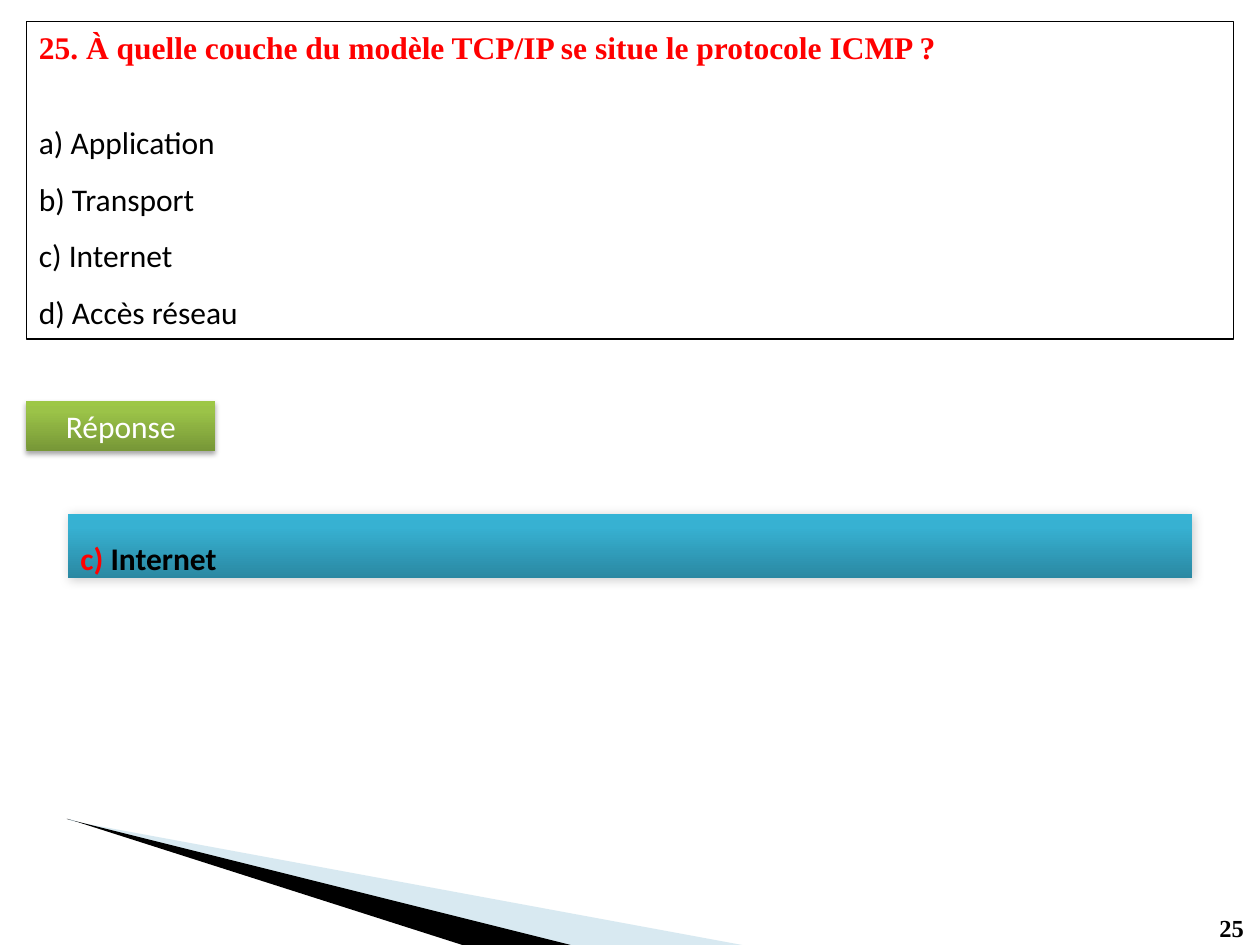
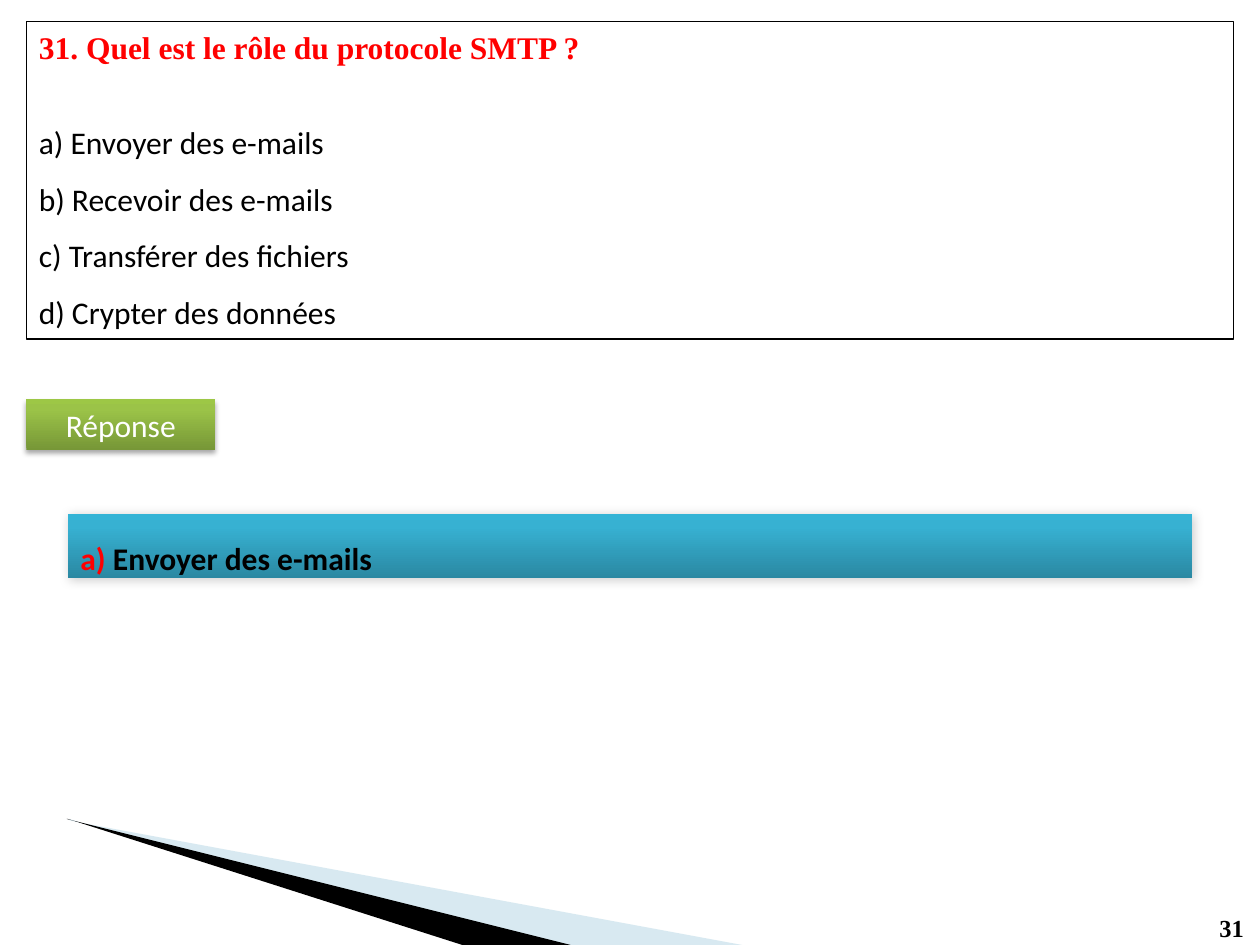
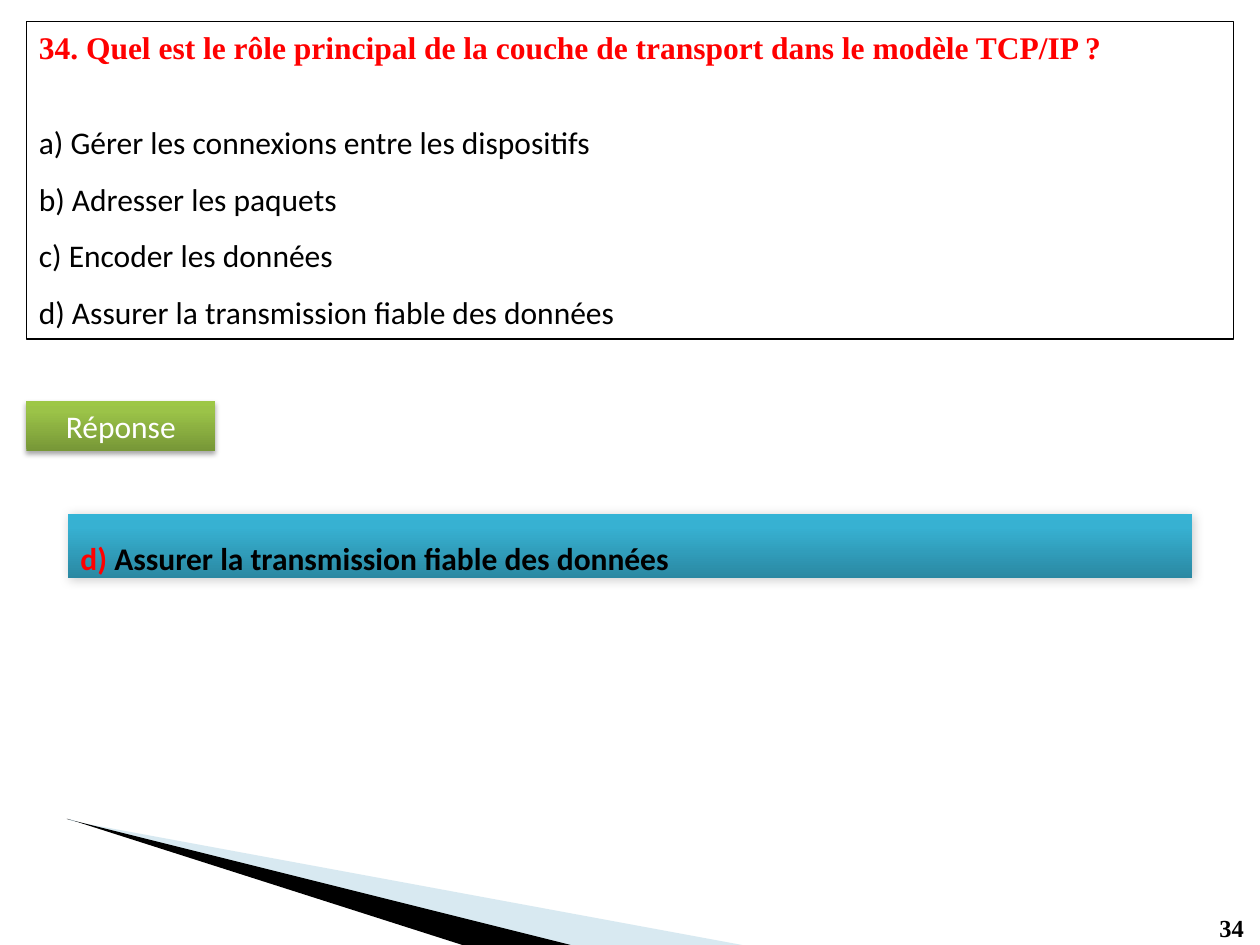
from dataclasses import dataclass

from lxml.etree import SubElement
from pptx import Presentation
from pptx.dml.color import RGBColor
from pptx.enum.shapes import MSO_SHAPE
from pptx.enum.text import MSO_ANCHOR, PP_ALIGN
from pptx.oxml import parse_xml
from pptx.oxml.ns import nsdecls, qn
from pptx.util import Inches, Pt

COLORS = {
    "black": "000000",
    "white": "FFFFFF",
    "red": "FF0000",
    "pale blue": "9FCADC",
}
GREEN_STOPS = [(0, "779737"), (80, "9BC348"), (100, "9DC746")]
BLUE_STOPS = [(0, "2A88A2"), (80, "37B1D2"), (100, "34B4D6")]
BODY_FONT = "Calibri"
TITLE_FONT = "Times New Roman"

SWOOSH_ORIGIN = (0.53, 6.5)
PAGE_NUMBER_BOX = (9.58, 7.2, 0.4, 0.34)
QUESTION_BOX = (0.21, 0.17, 9.58, 2.52)
LABEL_BOX = (0.21, 3.18, 1.5, 0.4)
ANSWER_BOX = (0.54, 4.08, 8.92, 0.51)

# Contours in inches from the swoosh origin
PALE_CONTOURS = [
    [(0.11, 0.03), (3.98, 1), (5.36, 1)],
    [(0.02, 0), (0.02, 0.01), (0.11, 0.03)],
]
BLACK_CONTOURS = [[(0, 0), (0.01, 0), (3.14, 1), (4, 1)]]


@dataclass
class Shadow:
    opacity: int
    blur: float
    distance: float
    angle: int


LABEL_SHADOW = Shadow(35, 3.1, 1.8, 90)
ANSWER_SHADOW = Shadow(20, 6, 1, 45)


@dataclass
class Question:
    number: int
    text: str
    choices: list
    answer: int
    label_top: float = LABEL_BOX[1]


QUESTIONS = [
    Question(
        25, "À quelle couche du modèle TCP/IP se situe le protocole ICMP ?",
        ["Application", "Transport", "Internet", "Accès réseau"], answer=2,
    ),
    Question(
        31, "Quel est le rôle du protocole SMTP ?",
        ["Envoyer des e-mails", "Recevoir des e-mails",
         "Transférer des fichiers", "Crypter des données"],
        answer=0, label_top=3.17,
    ),
    Question(
        34, "Quel est le rôle principal de la couche de transport dans le modèle TCP/IP ?",
        ["Gérer les connexions entre les dispositifs", "Adresser les paquets",
         "Encoder les données", "Assurer la transmission fiable des données"],
        answer=3,
    ),
]


def color(name):
    return RGBColor.from_string(COLORS[name])


def letter(index):
    return f"{'abcd'[index]}) "


def set_font(font, color_name, name=BODY_FONT, size=18, bold=False):
    font.name = name
    font.size = Pt(size)
    font.bold = bold
    font.color.rgb = color(color_name)


def set_gradient(shape, stops):
    """Fill the shape from bottom to top with (percent, hex) stops."""
    stop_xml = "".join(
        f'<a:gs pos="{percent * 1000}"><a:srgbClr val="{value}"/></a:gs>'
        for percent, value in stops
    )
    gradient = parse_xml(
        f'<a:gradFill {nsdecls("a")} rotWithShape="1"><a:gsLst>{stop_xml}</a:gsLst>'
        '<a:lin ang="16200000" scaled="0"/></a:gradFill>'
    )
    shape._element.spPr.find(qn("a:prstGeom")).addnext(gradient)


def set_shadow(shape, shadow):
    effects = shape._element.spPr.find(qn("a:effectLst"))
    outer = SubElement(
        effects, qn("a:outerShdw"),
        blurRad=str(Pt(shadow.blur)), dist=str(Pt(shadow.distance)),
        dir=str(shadow.angle * 60000), algn="ctr", rotWithShape="0",
    )
    shadow_color = SubElement(outer, qn("a:srgbClr"), val=COLORS["black"])
    SubElement(shadow_color, qn("a:alpha"), val=str(shadow.opacity * 1000))


def add_box(slide, box):
    """Add a plain rectangle with top-left text and no line, fill or shadow."""
    shape = slide.shapes.add_shape(MSO_SHAPE.RECTANGLE, *map(Inches, box))
    shape.shadow.inherit = False
    shape.line.fill.background()
    shape.text_frame.word_wrap = True
    shape.text_frame.vertical_anchor = MSO_ANCHOR.TOP
    shape.text_frame.paragraphs[0].alignment = PP_ALIGN.LEFT
    return shape


def add_gradient_box(slide, box, stops, shadow):
    shape = add_box(slide, box)
    set_gradient(shape, stops)
    set_shadow(shape, shadow)
    return shape


def add_swoosh_part(slide, origin, contours, color_name, opacity=100):
    left, top = origin
    outlines = [
        [(Inches(left + x), Inches(top + y)) for x, y in contour]
        for contour in contours
    ]
    builder = slide.shapes.build_freeform(*outlines[0][0])
    for index, outline in enumerate(outlines):
        if index:
            builder.move_to(*outline[0])
        builder.add_line_segments(outline[1:], close=True)
    shape = builder.convert_to_shape()
    shape.shadow.inherit = False
    shape.line.fill.background()
    shape.fill.solid()
    shape.fill.fore_color.rgb = color(color_name)
    if opacity < 100:
        fill_color = shape._element.spPr.find(qn("a:solidFill"))[0]
        SubElement(fill_color, qn("a:alpha"), val=str(opacity * 1000))


def add_swoosh(slide, origin):
    add_swoosh_part(slide, origin, PALE_CONTOURS, "pale blue", opacity=40)
    add_swoosh_part(slide, origin, BLACK_CONTOURS, "black")


def add_page_number(slide, box, number):
    text_frame = slide.shapes.add_textbox(*map(Inches, box)).text_frame
    text_frame.word_wrap = True
    paragraph = text_frame.paragraphs[0]
    paragraph.text = str(number)
    set_font(paragraph.font, "black", TITLE_FONT, size=14, bold=True)


def add_question(slide, box, question):
    shape = add_box(slide, box)
    shape.fill.background()
    shape.line.color.rgb = color("black")
    shape.line.width = Pt(0.75)
    title = shape.text_frame.paragraphs[0]
    title.text = f"{question.number}. {question.text}"
    title.space_after = Pt(22)
    set_font(title.font, "red", TITLE_FONT, bold=True)
    for index, choice in enumerate(question.choices):
        paragraph = shape.text_frame.add_paragraph()
        paragraph.text = letter(index) + choice
        paragraph.alignment = PP_ALIGN.LEFT
        paragraph.line_spacing = 1.5
        set_font(paragraph.font, "black")


def add_answer_label(slide, box):
    shape = add_gradient_box(slide, box, GREEN_STOPS, LABEL_SHADOW)
    paragraph = shape.text_frame.paragraphs[0]
    paragraph.text = "Réponse"
    paragraph.alignment = PP_ALIGN.CENTER
    set_font(paragraph.font, "white")


def add_answer(slide, box, question):
    shape = add_gradient_box(slide, box, BLUE_STOPS, ANSWER_SHADOW)
    paragraph = shape.text_frame.paragraphs[0]
    paragraph.line_spacing = 1.5
    parts = [(letter(question.answer), "red"),
             (question.choices[question.answer], "black")]
    for text, color_name in parts:
        run = paragraph.add_run()
        run.text = text
        set_font(run.font, color_name, bold=True)


def add_question_slide(presentation, question):
    slide = presentation.slides.add_slide(presentation.slide_layouts[6])
    add_swoosh(slide, SWOOSH_ORIGIN)
    add_page_number(slide, PAGE_NUMBER_BOX, question.number)
    add_question(slide, QUESTION_BOX, question)
    left, _, width, height = LABEL_BOX
    add_answer_label(slide, (left, question.label_top, width, height))
    add_answer(slide, ANSWER_BOX, question)


def main():
    presentation = Presentation()
    presentation.slide_width = Inches(10)
    presentation.slide_height = Inches(7.5)
    for question in QUESTIONS:
        add_question_slide(presentation, question)
    presentation.save("out.pptx")


if __name__ == "__main__":
    main()
